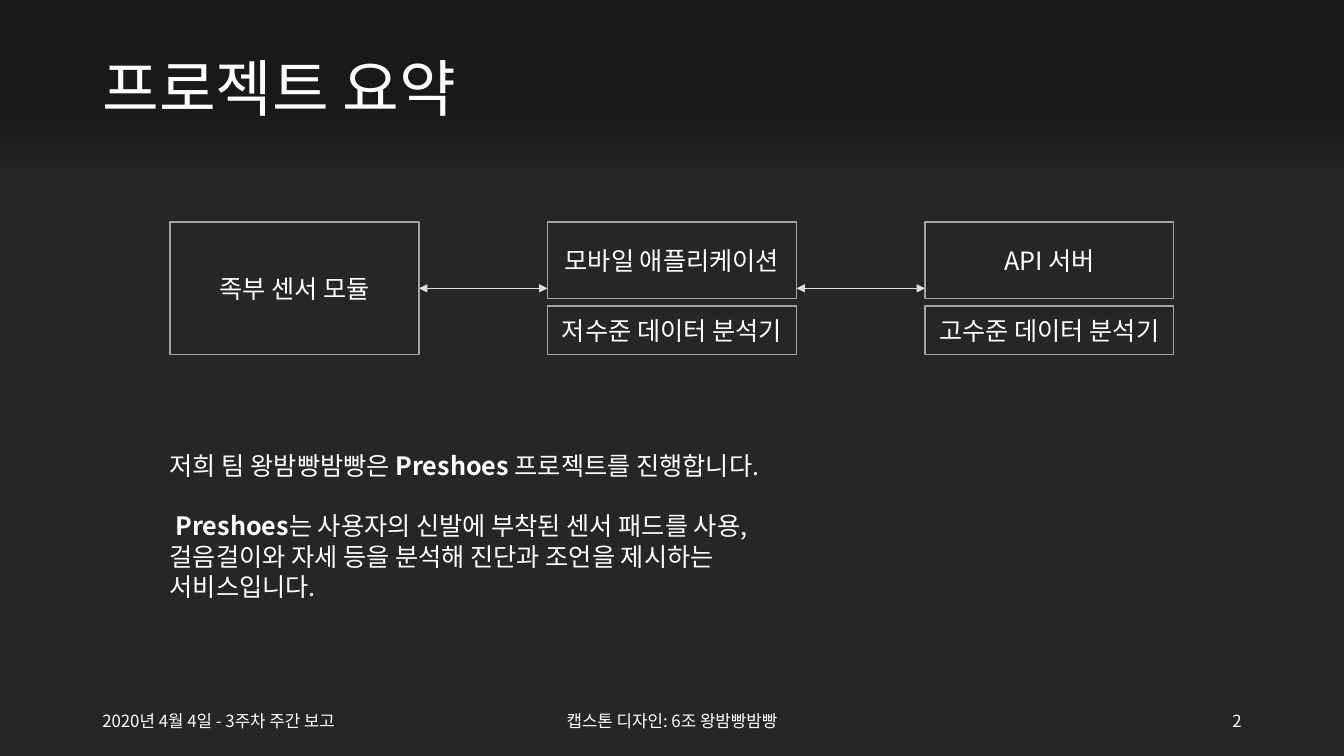
from lxml.etree import SubElement
from pptx import Presentation
from pptx.dml.color import RGBColor
from pptx.enum.shapes import MSO_CONNECTOR, MSO_SHAPE
from pptx.enum.text import MSO_ANCHOR, PP_ALIGN
from pptx.oxml.ns import qn
from pptx.util import Pt

FONT = "Noto Sans CJK KR"
WHITE = RGBColor(0xFF, 0xFF, 0xFF)
DARK = RGBColor(0x26, 0x26, 0x26)
BAND = RGBColor(0x19, 0x19, 0x19)
BORDER = RGBColor(0xA3, 0xA3, 0xA3)
ARROW = RGBColor(0xDD, 0xDD, 0xDD)


def add_text(p, text, size=18, bold=False, align=PP_ALIGN.LEFT):
    p.alignment = align
    r = p.add_run()
    r.text = text
    r.font.name = FONT
    r.font.size = Pt(size)
    r.font.bold = bold
    r.font.color.rgb = WHITE
    SubElement(r.font._element, qn("a:ea")).set("typeface", FONT)


def add_rect(s, x, y, w, h):
    sp = s.shapes.add_shape(MSO_SHAPE.RECTANGLE, Pt(x), Pt(y), Pt(w), Pt(h))
    sp.shadow.inherit = False
    return sp


def add_box(s, text, x, y, w, h):
    sp = add_rect(s, x, y, w, h)
    sp.fill.background()
    sp.line.color.rgb = BORDER
    sp.line.width = Pt(1)
    tf = sp.text_frame
    tf.margin_left = tf.margin_right = 0
    tf.vertical_anchor = MSO_ANCHOR.MIDDLE
    add_text(tf.paragraphs[0], text, align=PP_ALIGN.CENTER)
    return sp


def add_arrow(s, x1, x2, y):
    c = s.shapes.add_connector(MSO_CONNECTOR.STRAIGHT, Pt(x1), Pt(y), Pt(x2), Pt(y))
    c.line.color.rgb = ARROW
    c.line.width = Pt(0.5)
    ln = c.line._get_or_add_ln()
    for end in ("a:headEnd", "a:tailEnd"):
        SubElement(ln, qn(end)).set("type", "triangle")
    SubElement(c._element.spPr, qn("a:effectLst"))
    return c


def add_header(s, x, y, w, h):
    band = add_rect(s, x, y, w, h)
    band.line.fill.background()
    band.fill.gradient()
    band.fill.gradient_angle = 270
    for stop, position, color in zip(band.fill.gradient_stops, (0.55, 1), (BAND, DARK)):
        stop.position = position
        stop.color.rgb = color
    title = s.shapes.title
    title._element.addprevious(band._element)
    title.left, title.top = Pt(x + 66), Pt(y + 20)
    title.width, title.height = Pt(w - 132), Pt(90.5)
    tf = title.text_frame
    tf.word_wrap = True
    tf.vertical_anchor = MSO_ANCHOR.MIDDLE
    p = tf.paragraphs[0]
    p.line_spacing = 0.9
    add_text(p, "프로젝트 요약", size=44)


def add_diagram(s, x, y, w, h):
    box_w = 177.8
    step = (w - box_w) / 2
    upper_h, lower_h = 54.7, 34.5
    module = add_box(s, "족부 센서 모듈", x, y, box_w, h)
    stacks = (("모바일 애플리케이션", "저수준 데이터 분석기"),
              ("API 서버", "고수준 데이터 분석기"))
    for i, (upper, lower) in enumerate(stacks, 1):
        left = x + i * step
        add_box(s, upper, left, y, box_w, upper_h)
        add_box(s, lower, left, y + h - lower_h, box_w, lower_h)
        c = add_arrow(s, left - step + box_w, left, y + h / 2)
        if i == 1:
            c.begin_connect(module, 3)


def add_summary(s, x, y, w, h):
    tf = s.shapes.add_textbox(Pt(x), Pt(y), Pt(w), Pt(h)).text_frame
    tf.word_wrap = True
    paragraphs = (
        (0, (("저희 팀 왕밤빵밤빵은 ", False), ("Preshoes ", True),
             ("프로젝트를 진행합니다.", False))),
        (21.6, ((" ", False), ("Preshoes", True),
                ("는 사용자의 신발에 부착된 센서 패드를 사용,", False))),
        (0, (("걸음걸이와 자세 등을 분석해 진단과 조언을 제시하는 서비스입니다.", False),)),
    )
    for i, (before, runs) in enumerate(paragraphs):
        p = tf.add_paragraph() if i else tf.paragraphs[0]
        p.space_before = Pt(before)
        p.line_spacing = Pt(21.6)
        for text, bold in runs:
            add_text(p, text, bold=bold)


def add_footer(s, x, y, w, h):
    parts = (
        ("2020년 4월 4일 - 3주차 주간 보고", x, 216, PP_ALIGN.LEFT),
        ("캡스톤 디자인: 6조 왕밤빵밤빵", x + (w - 324) / 2, 324, PP_ALIGN.CENTER),
        ("2", x + w - 216, 216, PP_ALIGN.RIGHT),
    )
    for text, left, width, align in parts:
        tf = s.shapes.add_textbox(Pt(left), Pt(y), Pt(width), Pt(h)).text_frame
        tf.word_wrap = True
        tf.vertical_anchor = MSO_ANCHOR.MIDDLE
        add_text(tf.paragraphs[0], text, size=12, align=align)


def main():
    prs = Presentation()
    prs.slide_width, prs.slide_height = Pt(960), Pt(540)
    s = prs.slides.add_slide(prs.slide_layouts[5])
    s.background.fill.solid()
    s.background.fill.fore_color.rgb = DARK
    add_header(s, 0, 0, 960, 130)
    add_diagram(s, 121.5, 158.7, 717, 94.5)
    add_summary(s, 114.2, 318, 500.4, 94.5)
    add_footer(s, 66, 500.5, 828, 28.8)
    prs.save("out.pptx")


if __name__ == "__main__":
    main()
